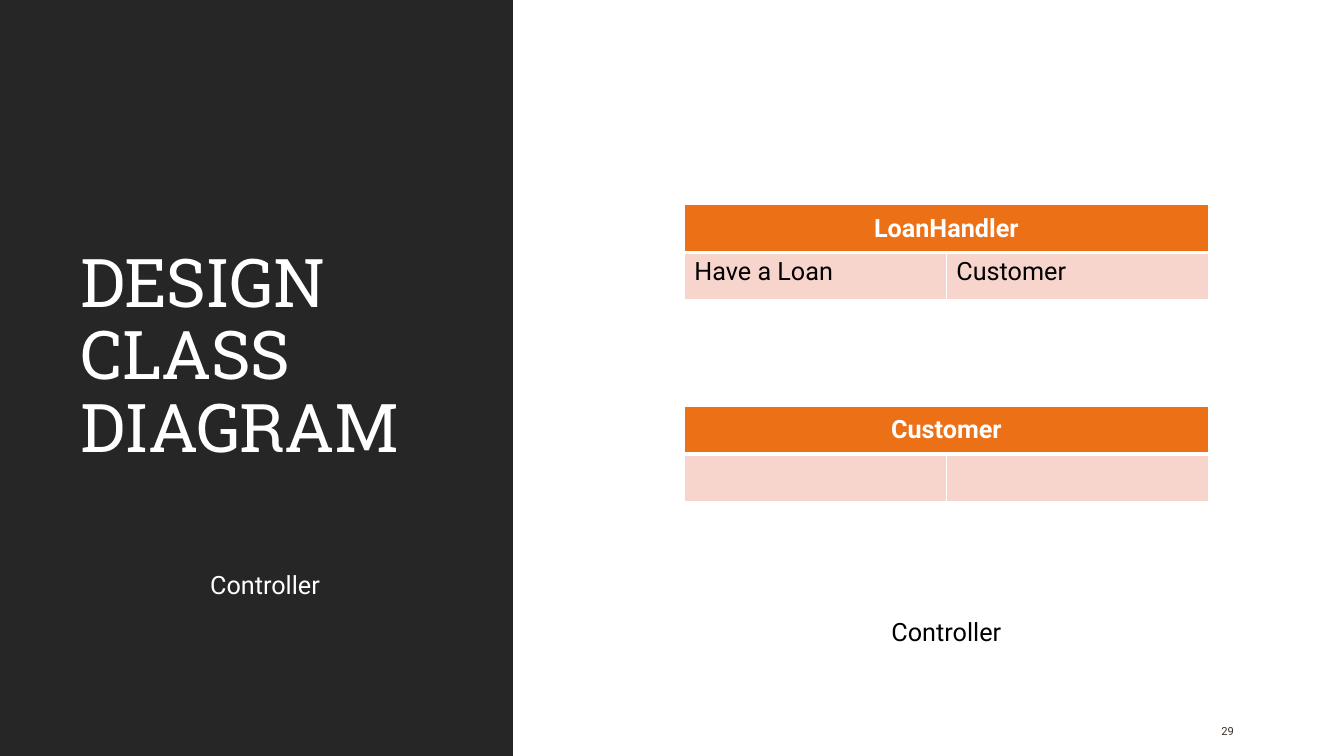
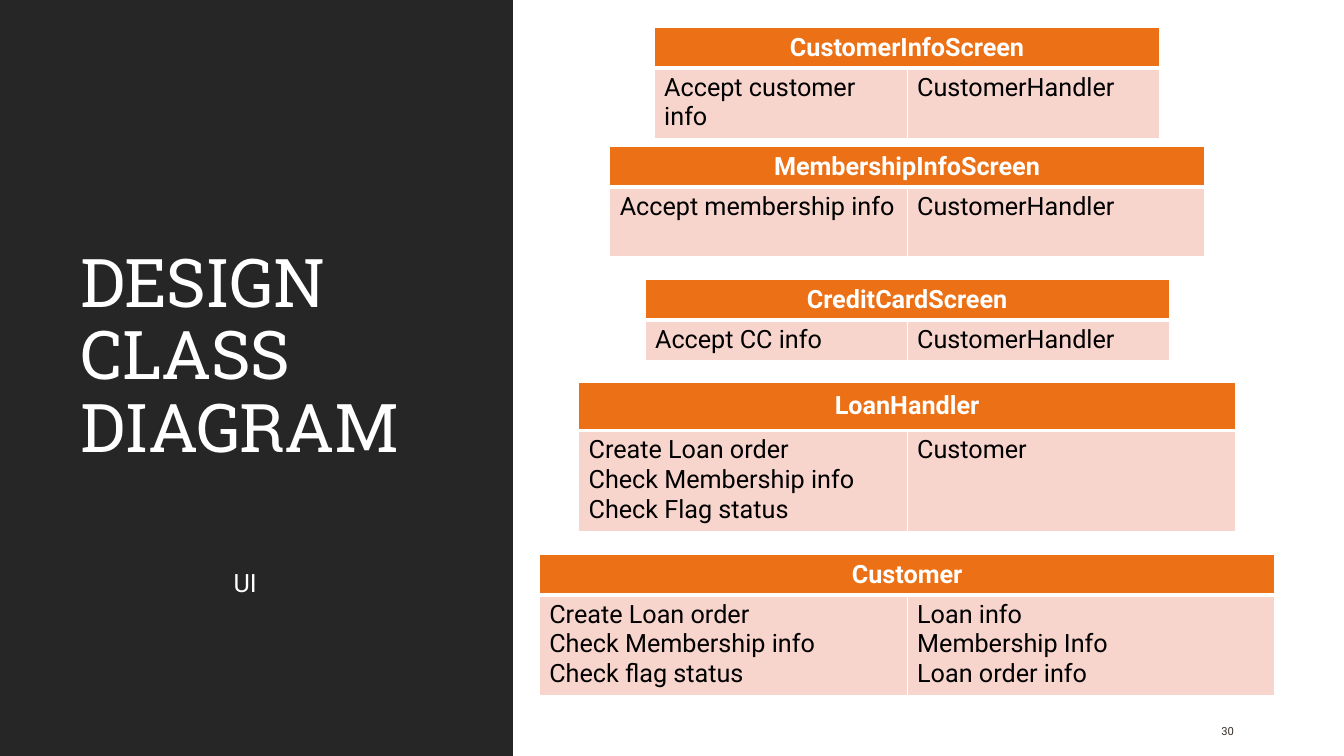
from lxml import etree
from pptx import Presentation
from pptx.dml.color import RGBColor
from pptx.enum.shapes import MSO_SHAPE
from pptx.enum.text import MSO_ANCHOR, MSO_AUTO_SIZE, PP_ALIGN
from pptx.oxml.ns import qn
from pptx.util import Cm, Pt

RECTANGLE = MSO_SHAPE.RECTANGLE
TOP, MIDDLE, BOTTOM = MSO_ANCHOR.TOP, MSO_ANCHOR.MIDDLE, MSO_ANCHOR.BOTTOM
LEFT, CENTER = PP_ALIGN.LEFT, PP_ALIGN.CENTER
NO_FIT = MSO_AUTO_SIZE.NONE
TITLE_ONLY = 5

COLORS = {
    "panel": "262626",
    "white": "FFFFFF",
    "black": "000000",
    "number": "39302A",
    "header": "EC7016",
    "body": "F8D5CC",
}
BODY_FONT = "Roboto"
TITLE_FONT = "Roboto Slab"
PAGE_WIDTH, PAGE_HEIGHT = 33.87, 19.05
PANEL_WIDTH = 12.93
CAPTION_WIDTH, CAPTION_HEIGHT = 11.13, 2.24


def color(name):
    return RGBColor.from_string(COLORS[name])


class ClassDeck:
    def __init__(self):
        self.deck = Presentation()
        self.deck.slide_width = Cm(PAGE_WIDTH)
        self.deck.slide_height = Cm(PAGE_HEIGHT)
        self.page = None

    def add_page(self, title, number):
        self.page = self.deck.slides.add_slide(self.deck.slide_layouts[TITLE_ONLY])
        self.panel()
        self.title(title)
        self.page_number(number)

    def panel(self):
        panel = self.page.shapes.add_shape(
            RECTANGLE, 0, 0, Cm(PANEL_WIDTH), Cm(PAGE_HEIGHT))
        panel.shadow.inherit = False
        panel.fill.solid()
        panel.fill.fore_color.rgb = color("panel")
        panel.line.fill.background()
        # Keep the panel behind the title placeholder
        self.page.shapes.title._element.addprevious(panel._element)

    def title(self, text):
        box = self.page.shapes.title
        box.left, box.top, box.width, box.height = Cm(1.78), Cm(4.22), Cm(9.78), Cm(7.67)
        frame = box.text_frame
        frame.auto_size = NO_FIT
        frame.word_wrap = True
        frame.vertical_anchor = BOTTOM
        para = frame.paragraphs[0]
        para.alignment = LEFT
        para.line_spacing = 0.9
        span = self.span(para, text, "white", size=48, font=TITLE_FONT)
        span.font._element.set("spc", "-50")

    def text_box(self, left, top, width, height, anchor=TOP):
        """Add an empty wrapping text box and return its first paragraph."""
        box = self.page.shapes.add_textbox(Cm(left), Cm(top), Cm(width), Cm(height))
        frame = box.text_frame
        frame.word_wrap = True
        frame.vertical_anchor = anchor
        return frame.paragraphs[0]

    def caption(self, text, center, top, color_name):
        para = self.text_box(center - CAPTION_WIDTH / 2, top, CAPTION_WIDTH, CAPTION_HEIGHT)
        para.alignment = CENTER
        para.line_spacing = 1.1
        para.space_before, para.space_after = Pt(12), Pt(2)
        self.span(para, text, color_name)

    def page_number(self, number):
        para = self.text_box(30.53, 17.91, 2.16, 1.02, MIDDLE)
        self.span(para, str(number), "number", size=8)

    def span(self, para, text, color_name, size=18, font=BODY_FONT, bold=False):
        span = para.add_run()
        span.text = text
        span.font.name = font
        span.font.size = Pt(size)
        span.font.bold = bold
        span.font.color.rgb = color(color_name)
        return span

    def class_card(self, center, top, width, row_heights, name, duties=(), partners=()):
        """Add a class name above its duties and the classes it works with."""
        table = self.page.shapes.add_table(
            2, 2, Cm(center - width / 2), Cm(top), Cm(width), Cm(sum(row_heights))).table
        for column in table.columns:
            column.width = Cm(width / 2)
        for row, height in zip(table.rows, row_heights):
            row.height = Cm(height)
        for cell in table.iter_cells():
            self.borders(cell, bottom=1)
            cell.fill.solid()
            cell.fill.fore_color.rgb = color("body")

        header = table.cell(0, 0)
        header.merge(table.cell(0, 1))
        for cell in table.rows[0].cells:
            self.borders(cell, bottom=3)
            cell.fill.fore_color.rgb = color("header")
        header.vertical_anchor = MIDDLE
        para = header.text_frame.paragraphs[0]
        para.alignment = CENTER
        self.span(para, name, "white", bold=True)

        for cell, lines in zip(table.rows[1].cells, (duties, partners)):
            frame = cell.text_frame
            for index, line in enumerate(lines):
                para = frame.add_paragraph() if index else frame.paragraphs[0]
                self.span(para, line, "black")

    def borders(self, cell, bottom):
        """Set white cell borders: one point, with the bottom given in points."""
        properties = cell._tc.get_or_add_tcPr()
        widths = {"a:lnL": 1, "a:lnR": 1, "a:lnT": 1, "a:lnB": bottom}
        for position, (tag, width) in enumerate(widths.items()):
            for old in properties.findall(qn(tag)):
                properties.remove(old)
            line = etree.Element(qn(tag), w=str(Pt(width)))
            fill = etree.SubElement(line, qn("a:solidFill"))
            etree.SubElement(fill, qn("a:srgbClr"), val=COLORS["white"])
            properties.insert(position, line)


def main():
    title = "DESIGN CLASS DIAGRAM"
    handler = ["CustomerHandler"]
    deck = ClassDeck()

    deck.add_page(title, 29)
    center = 23.85
    deck.caption("Controller", 6.68, 14.15, "white")
    deck.caption("Controller", center, 15.32, "black")
    deck.class_card(center, 5.16, 13.21, (1.2, 1.2), "LoanHandler",
                    ["Have a Loan"], ["Customer"])
    deck.class_card(center, 10.24, 13.21, (1.2, 1.2), "Customer")

    deck.add_page(title, 30)
    deck.caption("UI", 6.18, 14.1, "white")
    cards = [
        (0.69, 12.75, (1.02, 1.75), "CustomerInfoScreen",
         ["Accept customer info"], handler),
        (3.68, 14.99, (1.04, 1.75), "MembershipInfoScreen",
         ["Accept membership info"], handler),
        (7.04, 13.21, (1, 0.98), "CreditCardScreen",
         ["Accept CC info"], handler),
        (9.63, 16.56, (1.22, 2.48), "LoanHandler",
         ["Create Loan order", "Check Membership info", "Check Flag status"],
         ["Customer"]),
        (13.97, 18.54, (1.02, 2.54), "Customer",
         ["Create Loan order", "Check Membership info", "Check flag status"],
         ["Loan info", "Membership Info", "Loan order info"]),
    ]
    for card in cards:
        deck.class_card(22.86, *card)

    deck.deck.save("out.pptx")


if __name__ == "__main__":
    main()
